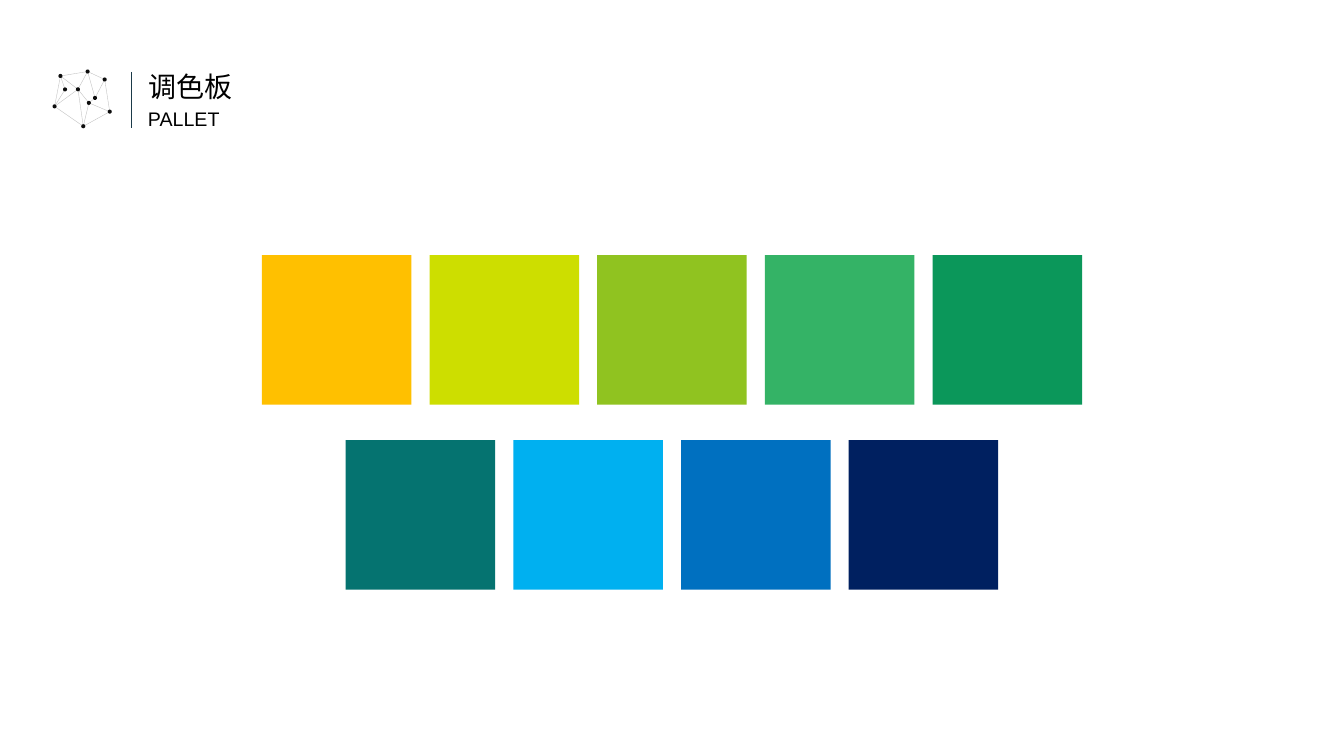
"""Build the colour palette slide."""
from pptx import Presentation
from pptx.dml.color import RGBColor
from pptx.enum.shapes import MSO_CONNECTOR as Line, MSO_SHAPE as Shape
from pptx.enum.text import MSO_ANCHOR as Anchor, MSO_AUTO_SIZE as Fit, PP_ALIGN as Align
from pptx.oxml.ns import qn
from pptx.util import Pt
from lxml.etree import SubElement

WIDE, HIGH = 960, 540
TITLE = ("调色板", 20, "Noto Sans CJK SC", (98.6, 46.1, 74.9, 31.7))
LABEL = ("PALLET", 14, "Arial", (98.6, 72.7, 86.4, 24.5))
ROWS = [
    (182.3, ["FFC000", "CDDE00", "90C320", "34B366", "0B975A"]),
    (314.4, ["057370", "00B0F0", "0070C0", "002060"]),
]
SIDE, PITCH = 106.8, 119.75
DOT = 2.9
NODES = {
    "foot": (59.5, 90.2), "core": (63.5, 73.5), "east": (78.4, 79.8),
    "mid": (67.9, 70), "high": (74.8, 56.8), "top": (62.6, 51.1),
    "hub": (55.7, 63.8), "peak": (43.2, 54.3), "near": (46.5, 63.9),
    "west": (39, 76),
}
EDGES = [
    ("east", "high"), ("foot", "east"), ("west", "foot"), ("peak", "top"),
    ("top", "high"), ("west", "peak"), ("high", "mid"), ("core", "foot"),
    ("mid", "core"), ("hub", "foot"), ("hub", "west"), ("peak", "near"),
    ("peak", "hub"), ("top", "hub"), ("top", "mid"), ("hub", "core"),
    ("near", "west"), ("east", "core"),
]


def paint(form, color):
    form.solid()
    form.fore_color.rgb = RGBColor.from_string(color)


def block(shapes, kind, left, top, size, color):
    shape = shapes.add_shape(kind, Pt(left), Pt(top), Pt(size), Pt(size))
    shape.shadow.inherit = False
    paint(shape.fill, color)
    shape.line.fill.background()


def link(shapes, start, end, color, width):
    line = shapes.add_connector(Line.STRAIGHT, *map(Pt, start + end))
    paint(line.line.fill, color)
    line.line.width = Pt(width)
    SubElement(line._element.spPr, qn("a:effectLst"))


def write(shape, text, size, face, box):
    shape.left, shape.top, shape.width, shape.height = map(Pt, box)
    frame = shape.text_frame
    frame.word_wrap = False
    frame.auto_size = Fit.NONE
    frame.vertical_anchor = Anchor.TOP
    para = frame.paragraphs[0]
    para.alignment = Align.LEFT
    run = para.add_run()
    run.text = text
    run.font.size = Pt(size)
    run.font.name = face
    paint(run.font.fill, "000000")
    SubElement(run.font._element, qn("a:ea")).set("typeface", face)


def main():
    deck = Presentation()
    deck.slide_width, deck.slide_height = Pt(WIDE), Pt(HIGH)
    slide = deck.slides.add_slide(deck.slide_layouts[5])
    shapes = slide.shapes
    write(shapes.title, *TITLE)
    write(shapes.add_textbox(0, 0, 0, 0), *LABEL)
    link(shapes, (93.8, 51.3), (93.8, 91.3), "1B3A49", 0.5)

    net = shapes.add_group_shape().shapes
    for start, end in EDGES:
        link(net, NODES[start], NODES[end], "BFBFBF", 0.25)
    for x, y in NODES.values():
        block(net, Shape.OVAL, x - DOT / 2, y - DOT / 2, DOT, "0D0D0D")

    grid = shapes.add_group_shape().shapes
    for top, colors in ROWS:
        left = (WIDE - PITCH * (len(colors) - 1) - SIDE) / 2
        for i, color in enumerate(colors):
            block(grid, Shape.RECTANGLE, left + i * PITCH, top, SIDE, color)
    deck.save("out.pptx")


if __name__ == "__main__":
    main()
